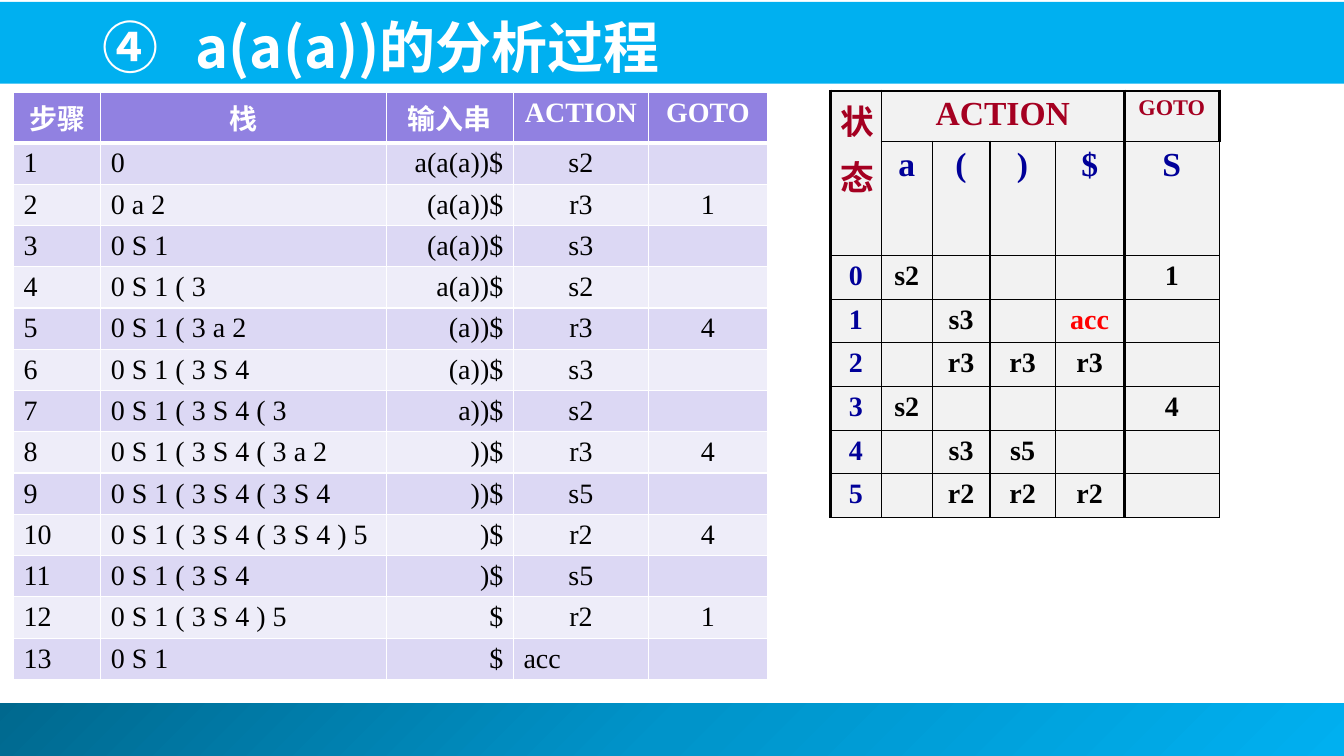
from copy import deepcopy

from lxml.etree import SubElement
from pptx import Presentation
from pptx.dml.color import RGBColor
from pptx.enum.shapes import MSO_SHAPE
from pptx.enum.text import MSO_ANCHOR, MSO_AUTO_SIZE, PP_ALIGN
from pptx.oxml import parse_xml
from pptx.oxml.ns import nsdecls, qn
from pptx.util import Cm, Pt

# Content
TITLE = "④\ta(a(a))的分析过程"
STEPS_HEAD = ("步骤", "栈", "输入串", "ACTION", "GOTO")
STEPS = [  # stack, input, action, goto
    ("0", "a(a(a))$", "s2", ""),
    ("0 a 2", "(a(a))$", "r3", "1"),
    ("0 S 1", "(a(a))$", "s3", ""),
    ("0 S 1 ( 3", "a(a))$", "s2", ""),
    ("0 S 1 ( 3 a 2", "(a))$", "r3", "4"),
    ("0 S 1 ( 3 S 4", "(a))$", "s3", ""),
    ("0 S 1 ( 3 S 4 ( 3", "a))$", "s2", ""),
    ("0 S 1 ( 3 S 4 ( 3 a 2", "))$", "r3", "4"),
    ("0 S 1 ( 3 S 4 ( 3 S 4", "))$", "s5", ""),
    ("0 S 1 ( 3 S 4 ( 3 S 4 ) 5", ")$", "r2", "4"),
    ("0 S 1 ( 3 S 4", ")$", "s5", ""),
    ("0 S 1 ( 3 S 4 ) 5", "$", "r2", "1"),
    ("0 S 1", "$", "acc", ""),
]
STATES = [
    ("状\n态", "ACTION", "", "", "", "GOTO"),
    ("", "a", "(", ")", "$", "S"),
    ("0", "s2", "", "", "", "1"),
    ("1", "", "s3", "", "acc", ""),
    ("2", "", "r3", "r3", "r3", ""),
    ("3", "s2", "", "", "", "4"),
    ("4", "", "s3", "s5", "", ""),
    ("5", "", "r2", "r2", "r2", ""),
]
C = {
    "white": "FFFFFF", "black": "000000", "sky": "00B0F0", "sea": "0094CA",
    "deep": "00688E", "purple": "9181E1", "lilac": "DCD8F4", "pale": "EEEDF9",
    "grey": "F2F2F2", "wine": "A50021", "navy": "000099", "red": "FF0000",
}
SERIF, SANS = "Times New Roman", "Noto Sans CJK JP"
LEFT, CENTER, RIGHT = PP_ALIGN.LEFT, PP_ALIGN.CENTER, PP_ALIGN.RIGHT


def rgb(name):
    return RGBColor.from_string(C[name])


def write(tf, text, align, size, color, bold, font=SERIF):
    """Fill a text frame, one paragraph per line, with gaps between lines."""
    for i, line in enumerate(text.split("\n")):
        p = tf.paragraphs[0] if i == 0 else tf.add_paragraph()
        p.alignment = align
        if i:
            p.space_before = Pt(size * 0.2)
        r = p.add_run()
        r.text = line
        for key, value in {"size": Pt(size), "bold": bold, "name": font}.items():
            setattr(r.font, key, value)
        r.font.color.rgb = rgb(color)
        latin = r.font._element.find(qn("a:latin"))
        latin.addnext(parse_xml(f'<a:ea {nsdecls("a")} typeface="{SANS}"/>'))


def paint(cell, fill, line, widths):
    """Set a cell's fill and its L, R, T, B border widths in points."""
    cell.fill.solid()
    cell.fill.fore_color.rgb = rgb(fill)
    tcPr = cell._tc.get_or_add_tcPr()
    for i, (side, width) in enumerate(zip("LRTB", widths)):
        tcPr.insert(i, parse_xml(
            f'<a:ln{side} {nsdecls("a")} w="{Pt(width)}"><a:solidFill>'
            f'<a:srgbClr val="{C[line]}"/></a:solidFill></a:ln{side}>'))


def add_grid(left, top, widths, heights):
    """Add an unbanded table; sizes are in centimetres."""
    table = s.shapes.add_table(len(heights), len(widths), Cm(left), Cm(top),
                               Cm(sum(widths)), Cm(sum(heights))).table
    table.first_row = table.horz_banding = False
    for col, width in zip(table.columns, widths):
        col.width = Cm(width)
    for row, height in zip(table.rows, heights):
        row.height = Cm(height)
    return table


prs = Presentation()
prs.slide_width, prs.slide_height = Cm(33.87), Cm(19.05)
s = prs.slides.add_slide(prs.slide_layouts[5])
title = s.shapes.title

# Bars, placed behind the title
footer, header = bars = [
    s.shapes.add_shape(MSO_SHAPE.RECTANGLE, *map(Cm, box))
    for box in ((-0.13, 17.72, 34.0, 1.33), (-0.05, 0.05, 33.93, 2.06))]
for bar in bars:
    bar.shadow.inherit = False
    bar.line.fill.background()
    title.element.addprevious(bar.element)
header.fill.solid()
header.fill.fore_color.rgb = rgb("sky")
footer.fill.gradient()
footer.fill.gradient_angle = 315
first = footer.element.find(".//" + qn("a:gs"))
first.addnext(deepcopy(first))
for stop, color, pos in zip(footer.fill.gradient_stops,
                            ("deep", "sea", "sky"), (0, 0.5, 1)):
    stop.color.rgb = rgb(color)
    stop.position = pos

# Title, with a hanging indent after the number
title.left, title.top, title.width, title.height = map(Cm, (2.34, 0.13, 30.4, 2.0))
tf = title.text_frame
for key, value in {"word_wrap": True, "auto_size": MSO_AUTO_SIZE.NONE,
                   "vertical_anchor": MSO_ANCHOR.BOTTOM}.items():
    setattr(tf, key, value)
write(tf, TITLE, LEFT, 40, "white", True, SANS)
pPr = tf.paragraphs[0]._p.get_or_add_pPr()
indent = Cm(2.34)
pPr.set("marL", str(indent))
pPr.set("indent", str(-indent))
tabs = SubElement(pPr, qn("a:tabLst"))
SubElement(tabs, qn("a:tab"), pos=str(indent), algn="l")

# Parsing steps
rows = [STEPS_HEAD] + [(str(n), *step) for n, step in enumerate(STEPS, 1)]
table = add_grid(0.34, 2.32, (2.2, 7.2, 3.2, 3.4, 3.0), [1.27] + [1.04] * len(STEPS))
for i, row in enumerate(rows):
    fill = "purple" if i == 0 else ("pale", "lilac")[i % 2]
    for j, text in enumerate(row):
        cell = table.cell(i, j)
        paint(cell, fill, "white", (1, 1, 3 if i == 1 else 1, 3 if i == 0 else 1))
        if i == 0:
            write(cell.text_frame, text, CENTER, 20, "white", True)
        elif text:
            align = LEFT if text == "acc" else (LEFT, LEFT, RIGHT, CENTER, CENTER)[j]
            write(cell.text_frame, text, align, 20, "black", False)

# State table
table = add_grid(20.93, 2.29, (1.28, 1.28, 1.46, 1.64, 1.74, 2.4),
                 [1.27, 2.88] + [1.1] * 6)
table.cell(0, 0).merge(table.cell(1, 0))
table.cell(0, 1).merge(table.cell(0, 4))
for i, row in enumerate(STATES):
    for j, text in enumerate(row):
        cell = table.cell(i, j)
        last = j + cell.span_width - 1 if cell.is_merge_origin else j
        thick = (j in (0, 5), last == 4 or (i == 0 and j == 5), i == 0, False)
        paint(cell, "grey", "black", [2.25 if t else 1 for t in thick])
        if text:
            size = 16 if text == "GOTO" else 24 if i < 2 else 20
            color = ("wine" if i == 0 else "navy" if i == 1 or j == 0
                     else "red" if text == "acc" else "black")
            write(cell.text_frame, text, CENTER, size, color, True)

prs.save("out.pptx")
